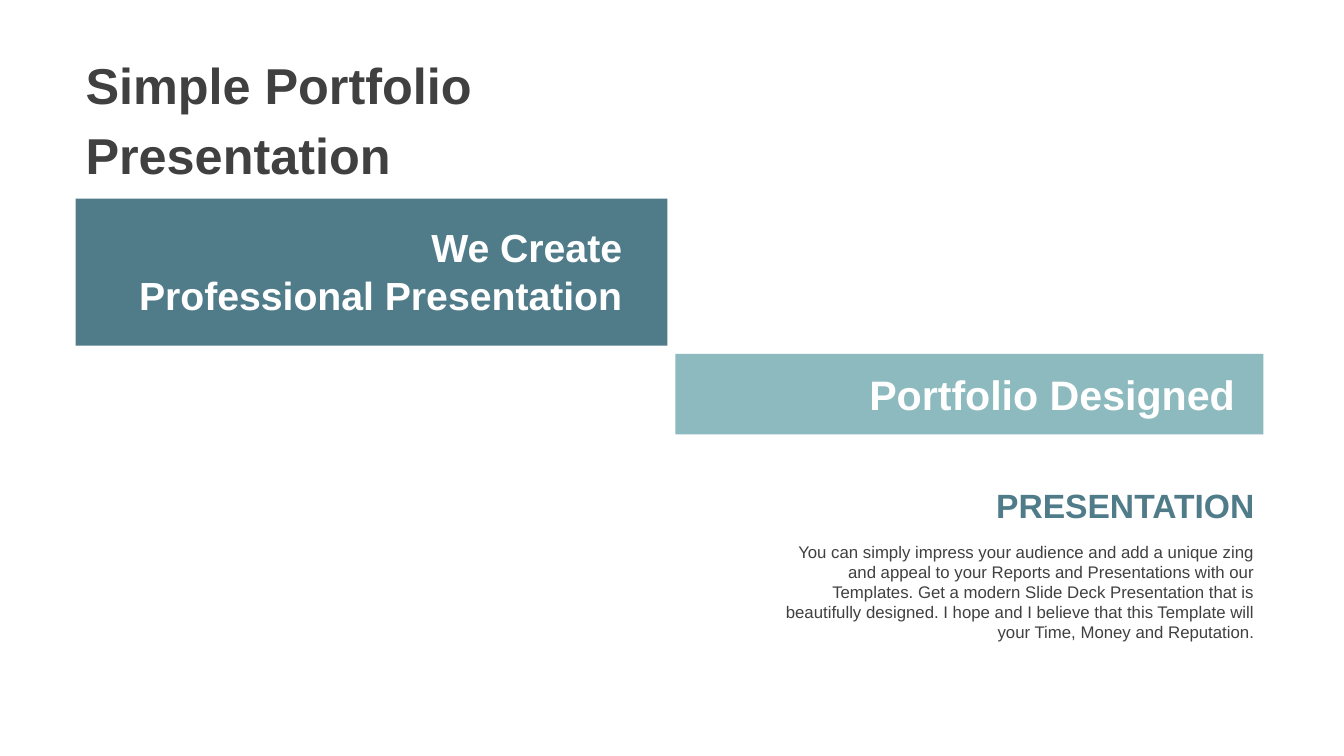
import pptx
import pptx.util
import pptx.dml.color
import pptx.enum.shapes
import pptx.enum.text

RGBColor = pptx.dml.color.RGBColor
ALIGN = pptx.enum.text.PP_ALIGN
ANCHOR = pptx.enum.text.MSO_ANCHOR

TEAL = RGBColor(0x50, 0x7C, 0x89)
AQUA = RGBColor(0x8C, 0xBA, 0xBE)
GRAY = RGBColor(0x40, 0x40, 0x40)
WHITE = RGBColor(0xFF, 0xFF, 0xFF)
PX = 9144

BODY = (
    "You can simply impress your audience and add a unique zing and appeal "
    "to your Reports and Presentations with our Templates. Get a modern "
    "Slide Deck Presentation that is beautifully designed. I hope and I "
    "believe that this Template will your Time, Money and Reputation."
)


def emu(*lengths):
    return [pptx.util.Emu(n * PX) for n in lengths]


def add_text(s, box, lines, size, color, bold=True, align=ALIGN.RIGHT,
             spacing=None, **frame):
    tf = s.shapes.add_textbox(*emu(*box)).text_frame
    for name, value in {"word_wrap": True, **frame}.items():
        setattr(tf, name, value)
    for i, line in enumerate(lines):
        p = tf.add_paragraph() if i else tf.paragraphs[0]
        p.alignment = align
        p.line_spacing = spacing
        r = p.add_run()
        r.text = line
        font = {"name": "Arial", "size": pptx.util.Pt(size), "bold": bold}
        for name, value in font.items():
            setattr(r.font, name, value)
        r.font.color.rgb = color


def add_band(s, box, color):
    sp = s.shapes.add_shape(pptx.enum.shapes.MSO_SHAPE.RECTANGLE, *emu(*box))
    sp.shadow.inherit = False
    sp.fill.solid()
    sp.fill.fore_color.rgb = color
    sp.line.fill.background()


def add_title(s, x, y, w, h):
    add_text(s, (x, y, w, h), ["Simple Portfolio Presentation"], 36, GRAY,
             align=ALIGN.LEFT, spacing=1.15, vertical_anchor=ANCHOR.MIDDLE)


def add_lead_band(s, x, y, w, h):
    add_band(s, (x, y, w, h), TEAL)
    left, right, none = emu(8, 4, 0)
    add_text(s, (x + 26, y + 25, w - 67, h - 52),
             ["We Create", "Professional Presentation"], 28, WHITE,
             margin_left=left, margin_right=right,
             margin_top=none, margin_bottom=none)


def add_second_band(s, x, y, w, h):
    add_band(s, (x, y, w, h), AQUA)
    add_text(s, (x + 35, y + 10, w - 53, h - 21), ["Portfolio Designed"],
             29.4, WHITE, vertical_anchor=ANCHOR.MIDDLE)


def add_description(s, x, y, w, h):
    heading_w, heading_h, body_top = 279, 50, 56
    add_text(s, (x + w - heading_w, y, heading_w, heading_h),
             ["PRESENTATION"], 24, TEAL, word_wrap=False)
    add_text(s, (x, y + body_top, w, h - body_top), [BODY], 12, GRAY,
             bold=False)


def main():
    prs = pptx.Presentation()
    prs.slide_width, prs.slide_height = emu(1333, 750)
    s = prs.slides.add_slide(prs.slide_layouts[6])
    add_second_band(s, 670, 351, 583, 80)
    add_lead_band(s, 75, 197, 587, 146)
    add_title(s, 75, 48, 486, 132)
    add_description(s, 756, 476, 498, 167)
    prs.save("out.pptx")


if __name__ == "__main__":
    main()
